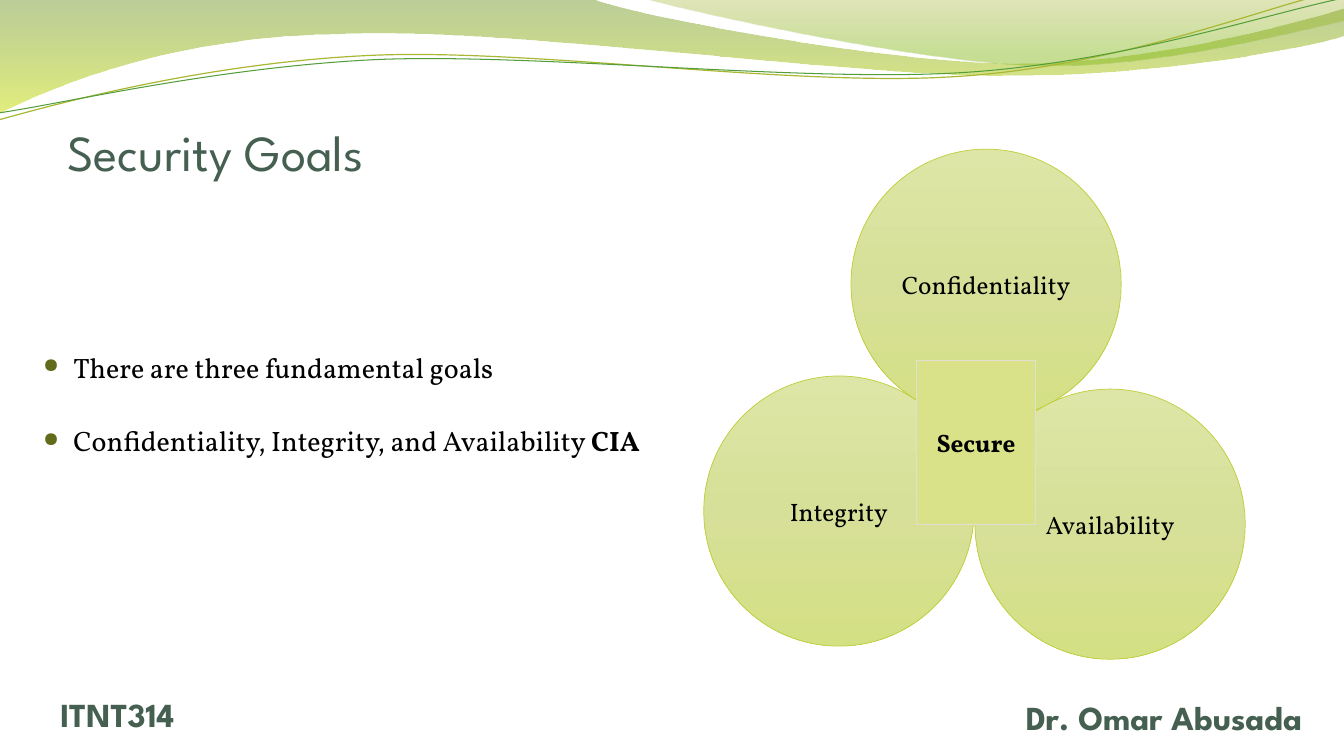
from math import cos, radians, sin

from lxml.etree import SubElement
from pptx import Presentation
from pptx.dml.color import RGBColor
from pptx.enum.shapes import MSO_SHAPE
from pptx.enum.text import MSO_ANCHOR, PP_ALIGN
from pptx.oxml.ns import qn
from pptx.util import Inches, Pt

BLACK = RGBColor(0x00, 0x00, 0x00)
SLATE = RGBColor(0x45, 0x5F, 0x51)
OLIVE = RGBColor(0x62, 0x6B, 0x1A)
LIME = RGBColor(0xC0, 0xCF, 0x3A)
MOSS = RGBColor(0xA9, 0xB7, 0x33)
GREEN = RGBColor(0x54, 0x9E, 0x39)
PALE = RGBColor(0xD9, 0xE2, 0x89)
SAND = RGBColor(0xE3, 0xDE, 0xD1)

# Gradient stops: position, colour, opacity (percent)
BAND = [(0, RGBColor(0x69, 0x92, 0x1C), 45), (100, RGBColor(0xCC, 0xE1, 0x0F), 55)]
VEIL = [(0, RGBColor(0x9B, 0xAA, 0x1A), 30), (80, RGBColor(0x81, 0xBA, 0x16), 45)]
DISC = [(0, RGBColor(0xDD, 0xE6, 0xA6), 100), (50, RGBColor(0xD7, 0xE0, 0x98), 100),
        (100, RGBColor(0xD4, 0xE0, 0x84), 100)]

HEAD = "League Spartan"
BODY = "Vollkorn"
TILT = 2.7

# Outlines: a pair is a straight step, six numbers are a Bezier step
BAND_PATH = [(0, 0), (5.87, -0.01), (6.34, 0.17, 8.84, 0.63, 10.11, 0.63),
             (11.37, 0.63, 12.77, 0.26, 13.33, 0.09), (13.34, 0.36),
             (13.11, 0.44, 11.59, 0.76, 9.94, 0.75),
             (8.29, 0.75, 5.09, 0.28, 3.43, 0.34),
             (1.72, 0.36, 0.61, 0.83, -0.02, 1.13)]
VEIL_PATH = [(6.38, -0.01), (6.79, 0.11, 9.09, 0.62, 10.25, 0.65),
             (11.4, 0.69, 12.82, 0.32, 13.33, 0.21), (13.33, 0)]
MOSS_PATH = [(-0.01, 1.19), (0.63, 1.01, 2.1, 0.62, 3.69, 0.55),
             (5.27, 0.48, 7.89, 0.87, 9.49, 0.76),
             (11.1, 0.66, 12.51, 0.08, 13.3, -0.1)]
GREEN_PATH = [(-0.01, 1.12), (0.62, 1.03, 2.18, 0.66, 3.77, 0.59),
              (5.37, 0.53, 7.96, 0.82, 9.55, 0.72),
              (11.14, 0.62, 12.55, 0.14, 13.33, -0.02)]


def turn(x, y, angle):
    """Turn a point clockwise about the middle of the waves."""
    dx, dy, a = x - 6.66, y - 0.58, radians(angle)
    return (Inches(6.66 + dx * cos(a) - dy * sin(a)),
            Inches(0.58 + dx * sin(a) + dy * cos(a)))


def add_curve(slide, path, closed, tilt=0):
    """Draw an outline through its end points, then bend the Bezier steps."""
    steps = [[turn(x, y, tilt) for x, y in zip(step[::2], step[1::2])]
             for step in path]
    pen = slide.shapes.build_freeform(*steps[0][0])
    pen.add_line_segments([step[-1] for step in steps[1:]], close=closed)
    shape = pen.convert_to_shape()
    shape.shadow.inherit = False
    lines = list(shape.element.iter(qn("a:lnTo")))
    for line, step in zip(lines, steps[1:]):
        if len(step) == 3:
            line.tag = qn("a:cubicBezTo")
            line.clear()
            for x, y in step:
                SubElement(line, qn("a:pt"), x=str(x - shape.left), y=str(y - shape.top))
    shape.rotation = -tilt % 360
    return shape


def shade(shape, stops):
    """Fill a shape from top to bottom with the given stops."""
    shape.fill.gradient()
    shape.fill.gradient_angle = 270
    group = shape.element.spPr.find(qn("a:gradFill")).find(qn("a:gsLst"))
    group.clear()
    for place, color, alpha in stops:
        stop = SubElement(group, qn("a:gs"), pos=str(place * 1000))
        tint = SubElement(stop, qn("a:srgbClr"), val=str(color))
        if alpha < 100:
            SubElement(tint, qn("a:alpha"), val=str(alpha * 1000))


def outline(shape, color, width):
    shape.line.color.rgb = color
    shape.line.width = Pt(width)


def add_run(para, text, size, font, color, bold=False):
    run = para.add_run()
    run.text = text
    run.font.size = Pt(size)
    run.font.name = font
    run.font.color.rgb = color
    run.font.bold = bold


def add_text(slide, box, pads=(0.1, 0.05, 0.1, 0.05)):
    """Add a wrapping text box and return its frame."""
    frame = slide.shapes.add_textbox(*map(Inches, box)).text_frame
    frame.word_wrap = True
    (frame.margin_left, frame.margin_top,
     frame.margin_right, frame.margin_bottom) = map(Inches, pads)
    return frame


def add_waves(slide):
    for path, stops in ((BAND_PATH, BAND), (VEIL_PATH, VEIL)):
        shape = add_curve(slide, path, True)
        shade(shape, stops)
        shape.line.fill.background()
    for path, color, width in ((MOSS_PATH, MOSS, 0.85), (GREEN_PATH, GREEN, 0.75)):
        shape = add_curve(slide, path, False, TILT)
        shape.fill.background()
        outline(shape, color, width)


def add_title(slide, box, text):
    frame = add_text(slide, box, (0, 0.05, 0, 0))
    frame.vertical_anchor = MSO_ANCHOR.BOTTOM
    add_run(frame.paragraphs[0], text, 36, HEAD, SLATE)


def add_points(slide, box, points):
    """Each point is a list of (text, bold) runs."""
    frame = add_text(slide, box)
    for i, point in enumerate(points):
        para = frame.add_paragraph() if i else frame.paragraphs[0]
        para.line_spacing = 2.0
        para.space_before = Pt(4.5)
        props = para._p.get_or_add_pPr()
        props.set("marL", str(Inches(0.3)))
        props.set("indent", str(Inches(-0.3)))
        tint = SubElement(props, qn("a:buClr"))
        SubElement(tint, qn("a:srgbClr"), val=str(OLIVE))
        SubElement(props, qn("a:buSzPct"), val="72000")
        SubElement(props, qn("a:buChar"), char="●")
        for text, bold in point:
            add_run(para, text, 20, BODY, BLACK, bold)


def add_label(slide, kind, box, text, bold=False):
    """Add a shape with a centred label."""
    shape = slide.shapes.add_shape(kind, *map(Inches, box))
    shape.shadow.inherit = False
    frame = shape.text_frame
    frame.word_wrap = True
    frame.vertical_anchor = MSO_ANCHOR.MIDDLE
    para = frame.paragraphs[0]
    para.alignment = PP_ALIGN.CENTER
    add_run(para, text, 18, BODY, BLACK, bold)
    return shape


def add_goals(slide, left, top):
    """Three discs that meet under a central square."""
    size = 2.68
    for text, x, y in (("Confidentiality", 1.46, 0), ("Availability", 2.69, 2.38),
                       ("Integrity", 0, 2.25)):
        disc = add_label(slide, MSO_SHAPE.OVAL, (left + x, top + y, size, size), text)
        shade(disc, DISC)
        outline(disc, LIME, 0.5)
    core = add_label(slide, MSO_SHAPE.RECTANGLE,
                     (left + 2.11, top + 2.1, 1.18, 1.62), "Secure", True)
    core.fill.solid()
    core.fill.fore_color.rgb = PALE
    outline(core, SAND, 0.75)


def add_foot(slide, box, text):
    para = add_text(slide, box, (0, 0.05, 0.07, 0.05)).paragraphs[0]
    para.alignment = PP_ALIGN.CENTER
    para.space_before = Pt(4.8)
    add_run(para, text, 24, HEAD, SLATE, True)


def main():
    deck = Presentation()
    deck.slide_width, deck.slide_height = Inches(13.33), Inches(7.5)
    slide = deck.slides.add_slide(deck.slide_layouts[6])
    add_waves(slide)
    add_title(slide, (0.67, 1.16, 4.26, 0.64), "Security Goals")
    add_points(slide, (0.33, 3.09, 6.69, 1.53), [
        [("There are three fundamental goals", False)],
        [("Confidentiality, Integrity, and Availability ", False), ("CIA", True)],
    ])
    add_goals(slide, 6.98, 1.48)
    add_foot(slide, (9.83, 6.86, 3.5, 0.64), "Dr. Omar Abusada")
    add_foot(slide, (0.28, 6.83, 1.84, 0.62), "ITNT314")
    deck.save("out.pptx")


if __name__ == "__main__":
    main()
